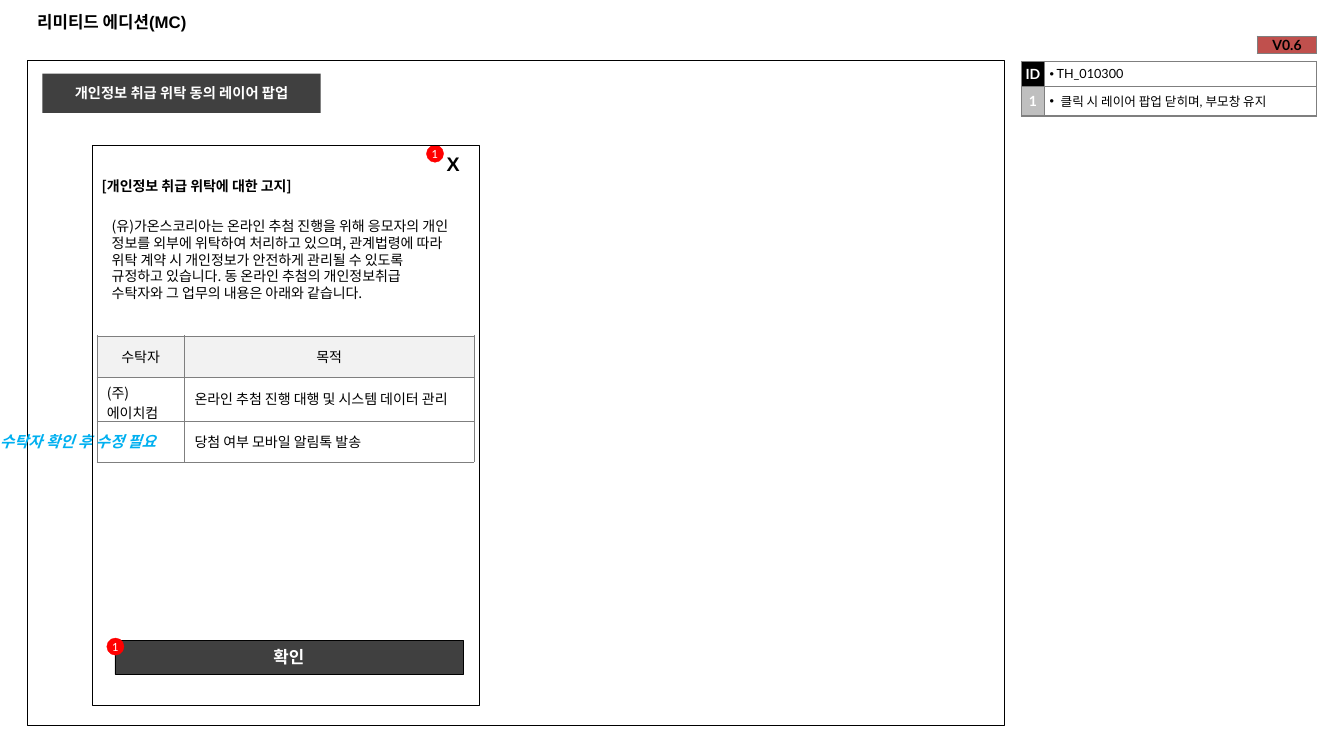
"""Builds the privacy consent layer popup wireframe slide."""
from dataclasses import dataclass

from lxml.etree import SubElement
from pptx import Presentation
from pptx.dml.color import RGBColor
from pptx.enum.shapes import MSO_SHAPE
from pptx.enum.text import MSO_ANCHOR, PP_ALIGN
from pptx.oxml.ns import qn
from pptx.util import Inches, Pt


@dataclass(frozen=True)
class Theme:
    black: str = "000000"
    white: str = "FFFFFF"
    dark: str = "404040"
    grey: str = "BFBFBF"
    pale: str = "F2F2F2"
    border: str = "7F7F7F"
    red: str = "FF0000"
    brick: str = "C0504D"
    note: str = "00B0F0"
    tiny: float = 8
    small: float = 9
    body: float = 10
    banner: float = 10.2
    remark: float = 11
    title: float = 12
    close: float = 14
    arial: str = "Arial"
    lato: str = "Lato"
    korean: str = "Noto Sans CJK KR"


THEME = Theme()


def add_span(para, text, size, font=THEME.korean, color=THEME.black, bold=False, italic=False):
    span = para.add_run()
    span.text = text
    span.font.size = Pt(size)
    span.font.name = font
    span.font.bold = bold
    span.font.italic = italic
    span.font.color.rgb = RGBColor.from_string(color)
    SubElement(span.font._element, qn("a:ea")).set("typeface", THEME.korean)


def set_margins(holder, margin):
    holder.margin_left = holder.margin_right = Inches(margin)
    holder.margin_top = holder.margin_bottom = Inches(margin)


def add_text(page, place, text, size, align=PP_ALIGN.LEFT, wrap=True, spacing=None, **style):
    frame = page.shapes.add_textbox(*map(Inches, place)).text_frame
    frame.word_wrap = wrap
    para = frame.paragraphs[0]
    para.alignment = align
    if spacing:
        para.line_spacing = Pt(spacing)
    add_span(para, text, size, **style)


def add_block(page, place, fill=None, line=None, width=0.25, kind=MSO_SHAPE.RECTANGLE):
    block = page.shapes.add_shape(kind, *map(Inches, place))
    block.shadow.inherit = False
    if fill:
        block.fill.solid()
        block.fill.fore_color.rgb = RGBColor.from_string(fill)
    else:
        block.fill.background()
    if line:
        block.line.color.rgb = RGBColor.from_string(line)
        block.line.width = Pt(width)
    else:
        block.line.fill.background()
    return block


def add_label(block, text, size, font, margin=0.0, bold=True):
    frame = block.text_frame
    frame.word_wrap = True
    frame.vertical_anchor = MSO_ANCHOR.MIDDLE
    set_margins(frame, margin)
    para = frame.paragraphs[0]
    para.alignment = PP_ALIGN.CENTER
    add_span(para, text, size, font, THEME.white, bold)


def add_marker(page, left, top):
    marker = add_block(page, (left, top, 0.17, 0.17), THEME.red, THEME.red, kind=MSO_SHAPE.OVAL)
    add_label(marker, "1", THEME.tiny, THEME.lato, bold=False)


def add_grid(page, left, top, columns, rows):
    frame = page.shapes.add_table(len(rows), len(columns), Inches(left), Inches(top),
                                  Inches(sum(columns)), Inches(sum(rows)))
    table = frame.table
    table.first_row = table.horz_banding = False
    for column, width in zip(table.columns, columns):
        column.width = Inches(width)
    for row, height in zip(table.rows, rows):
        row.height = Inches(height)
    return table


def set_borders(cell, width):
    properties = cell._tc.get_or_add_tcPr()
    for side in ("lnL", "lnR", "lnT", "lnB"):
        line = SubElement(properties, qn(f"a:{side}"), w=str(Pt(width)))
        SubElement(SubElement(line, qn("a:solidFill")), qn("a:srgbClr"), val=THEME.border)


def fill_cell(cell, text, size, fill=None, border=1, margin=None, align=PP_ALIGN.CENTER, **style):
    set_borders(cell, border)
    if fill:
        cell.fill.solid()
        cell.fill.fore_color.rgb = RGBColor.from_string(fill)
    else:
        cell.fill.background()
    if margin is not None:
        set_margins(cell, margin)
    cell.vertical_anchor = MSO_ANCHOR.MIDDLE
    para = cell.text_frame.paragraphs[0]
    para.alignment = align
    add_span(para, text, size, **style)
    return para


def add_bullet(para, indent):
    properties = para._p.get_or_add_pPr()
    properties.set("marL", str(Inches(indent)))
    properties.set("indent", str(-Inches(indent)))
    SubElement(properties, qn("a:buFont"), typeface=THEME.arial)
    SubElement(properties, qn("a:buChar"), char="•")


def add_description(page):
    table = add_grid(page, 10.13, 0.61, (0.23, 2.7), (0.25, 0.29))
    entries = (("ID", THEME.black, "TH_010300", 0.07),
               ("1", THEME.grey, "클릭 시 레이어 팝업 닫히며, 부모창 유지", 0.11))
    for row, (key, fill, text, indent) in enumerate(entries):
        fill_cell(table.cell(row, 0), key, THEME.body, fill, margin=0,
                  font=THEME.lato, color=THEME.white, bold=True)
        para = fill_cell(table.cell(row, 1), text, THEME.small, margin=0.05,
                         align=PP_ALIGN.LEFT, font=THEME.lato)
        add_bullet(para, indent)


def add_version(page):
    table = add_grid(page, 12.47, 0.36, (0.59,), (0.17,))
    fill_cell(table.cell(0, 0), "V0.6", THEME.body, THEME.brick, margin=0,
              font=THEME.lato, bold=True)


def add_trustees(page):
    table = add_grid(page, 0.96, 3.33, (0.87, 2.87), (0.41, 0.43, 0.41))
    entries = (("수탁자", "목적"),
               ("(주)에이치컴", "온라인 추첨 진행 대행 및 시스템 데이터 관리"),
               ("", "당첨 여부 모바일 알림톡 발송"))
    for row, texts in enumerate(entries):
        fill = THEME.white if row else THEME.pale
        align = PP_ALIGN.LEFT if row else PP_ALIGN.CENTER
        for column, text in enumerate(texts):
            fill_cell(table.cell(row, column), text, THEME.body, fill, border=0.25, align=align)


def main():
    deck = Presentation()
    deck.slide_width, deck.slide_height = Inches(13.33), Inches(7.5)
    page = deck.slides.add_slide(deck.slide_layouts[6])

    add_block(page, (0.27, 0.6, 9.69, 6.6), line=THEME.black, width=0.75)
    add_text(page, (0.27, 0.07, 12.79, 0.39), "리미티드 에디션(MC)", THEME.title,
             font=THEME.arial, bold=True)
    add_description(page)
    add_version(page)
    banner = add_block(page, (0.42, 0.73, 2.76, 0.39), THEME.dark)
    add_label(banner, "개인정보 취급 위탁 동의 레이어 팝업", THEME.banner, THEME.arial)

    add_text(page, (0.91, 1.71, 2.35, 0.27), "[개인정보 취급 위탁에 대한 고지]", THEME.body,
             wrap=False, bold=True)
    add_text(page, (1.01, 2.11, 3.58, 1.11),
             "(유)가온스코리아는 온라인 추첨 진행을 위해 응모자의 개인 정보를 외부에 위탁하여 "
             "처리하고 있으며, 관계법령에 따라 위탁 계약 시 개인정보가 안전하게 관리될 수 있도록 "
             "규정하고 있습니다. 동 온라인 추첨의 개인정보취급 수탁자와 그 업무의 내용은 아래와 "
             "같습니다.", THEME.body, spacing=12)
    add_trustees(page)
    add_text(page, (-0.1, 4.24, 1.95, 0.29), "수탁자 확인 후 수정 필요", THEME.remark,
             wrap=False, color=THEME.note, bold=True, italic=True)
    add_text(page, (4.23, 1.46, 0.53, 0.34), "X", THEME.close, PP_ALIGN.CENTER,
             font=THEME.arial, bold=True)
    add_marker(page, 4.23, 1.44)
    button = add_block(page, (1.14, 6.35, 3.45, 0.34), THEME.dark, THEME.black)
    add_label(button, "확인", THEME.title, THEME.lato, margin=0.04)
    add_marker(page, 1.06, 6.33)
    add_block(page, (0.91, 1.44, 3.84, 5.56), line=THEME.black)

    deck.save("out.pptx")


if __name__ == "__main__":
    main()
